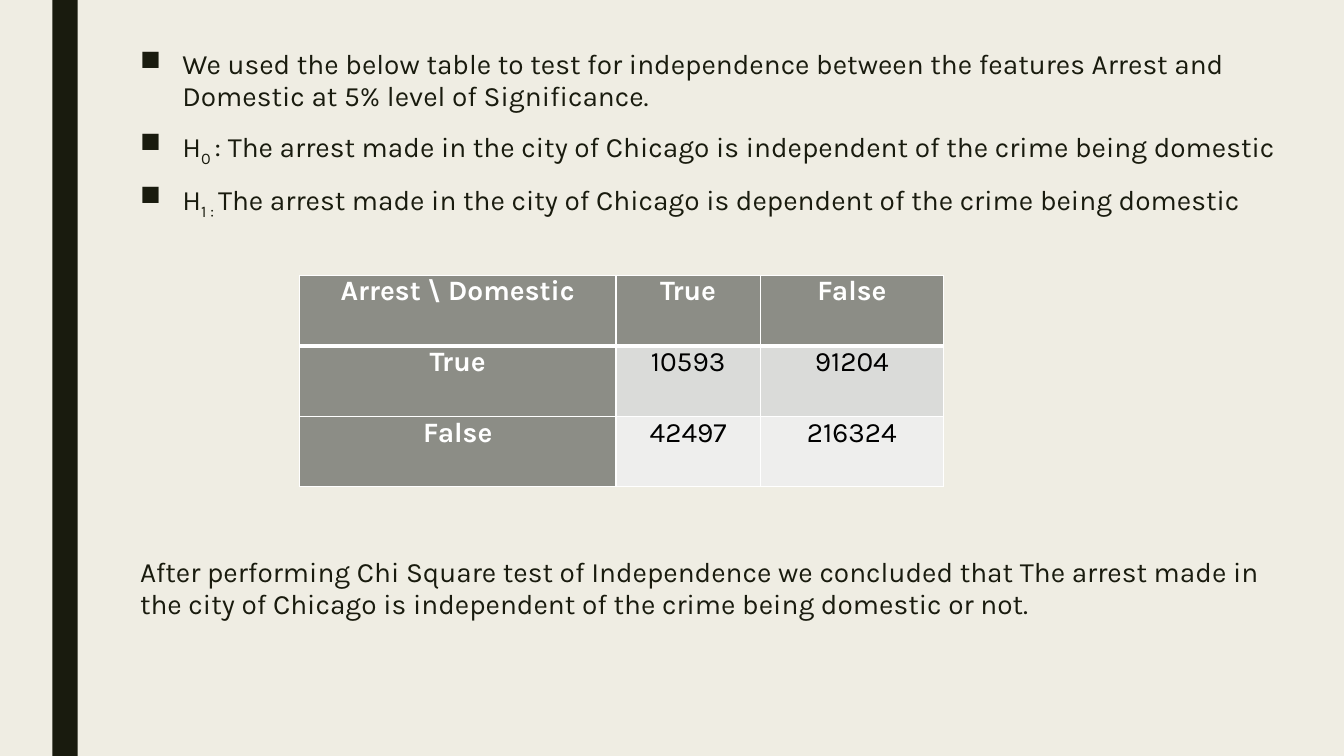
from lxml import etree
from pptx import Presentation
from pptx.dml.color import RGBColor
from pptx.enum.shapes import MSO_SHAPE
from pptx.enum.text import PP_ALIGN
from pptx.oxml.ns import qn
from pptx.util import Inches, Pt

RECT = MSO_SHAPE.RECTANGLE
CENTER = PP_ALIGN.CENTER
FONT = "Karla"
SIZE = Pt(20)
COLORS = {
    "paper": "EFEDE3",
    "ink": "191B0E",
    "head": "8C8D86",
    "odd": "DADBD9",
    "even": "EEEEED",
    "white": "FFFFFF",
    "black": "000000",
}

POINTS = [
    [("We used the below table to test for independence between the features "
      "Arrest and Domestic at 5% level of Significance.", False)],
    [("H", False), ("0 ", True),
     (": The arrest made in the city of Chicago is independent of the crime "
      "being domestic", False)],
    [("H", False), ("1 : ", True),
     ("The arrest made in the city of Chicago is dependent of the crime "
      "being domestic", False)],
]
RESULT = [
    [("After performing Chi Square test of Independence we concluded that "
      "The arrest made in the city of Chicago is independent of the crime "
      "being domestic or not.", False)],
]
COUNTS = [
    ["Arrest \\ Domestic", "True", "False"],
    ["True", "10593", "91204"],
    ["False", "42497", "216324"],
]
WIDTHS = [3.14, 1.43, 1.82]
ROW = 0.7


def paint(fill, color):
    fill.solid()
    fill.fore_color.rgb = RGBColor.from_string(COLORS[color])


def style(run, color, bold=False):
    font = run.font
    font.name = FONT
    font.size = SIZE
    font.bold = bold
    font.color.rgb = RGBColor.from_string(COLORS[color])


def add_bar(slide):
    bar = slide.shapes.add_shape(RECT, Inches(0.52), 0, Inches(0.25), Inches(7.5))
    bar.shadow.inherit = False
    paint(bar.fill, "ink")
    bar.line.fill.background()


def add_mark(para):
    props = para._p.get_or_add_pPr()
    indent = Inches(0.42)
    props.set("marL", str(indent))
    props.set("indent", str(-indent))
    etree.SubElement(props, qn("a:buChar")).set("char", "■")


def add_text(slide, top, height, items, marked):
    box = slide.shapes.add_textbox(
        Inches(1.29), Inches(top), Inches(11.49), Inches(height))
    frame = box.text_frame
    frame.word_wrap = True
    for i, parts in enumerate(items):
        para = frame.add_paragraph() if i else frame.paragraphs[0]
        para.line_spacing = 0.94
        para.space_before = Pt(10)
        para.space_after = Pt(2)
        if marked:
            add_mark(para)
        for text, sub in parts:
            run = para.add_run()
            run.text = text
            style(run, "ink")
            if sub:
                run._r.get_or_add_rPr().set("baseline", "-25000")


def add_edge(cell, side, width):
    props = cell._tc.get_or_add_tcPr()
    line = etree.SubElement(props, qn("a:ln" + side), w=str(Pt(width)))
    fill = etree.SubElement(line, qn("a:solidFill"))
    etree.SubElement(fill, qn("a:srgbClr"), val=COLORS["white"])


def fill_cell(cell, text, r, c):
    head = r == 0 or c == 0
    cell.margin_left = cell.margin_right = Inches(0.07)
    cell.margin_top = cell.margin_bottom = 0
    cell.text_frame.text = text
    para = cell.text_frame.paragraphs[0]
    para.alignment = CENTER
    style(para.runs[0], "white" if head else "black", head)
    for side in "LRTB":
        thick = (r, side) in ((0, "B"), (1, "T"))
        add_edge(cell, side, 3 if thick else 1)
    body = "odd" if r % 2 else "even"
    paint(cell.fill, "head" if head else body)


def add_counts(slide):
    rows = len(COUNTS)
    table = slide.shapes.add_table(
        rows, len(WIDTHS), Inches(2.97), Inches(2.73),
        Inches(sum(WIDTHS)), Inches(ROW * rows)).table
    for col, width in zip(table.columns, WIDTHS):
        col.width = Inches(width)
    for r, texts in enumerate(COUNTS):
        table.rows[r].height = Inches(ROW)
        for c, text in enumerate(texts):
            fill_cell(table.cell(r, c), text, r, c)


def main():
    deck = Presentation()
    deck.slide_width = Inches(13.33)
    deck.slide_height = Inches(7.5)
    slide = deck.slides.add_slide(deck.slide_layouts[6])
    paint(slide.background.fill, "paper")
    add_bar(slide)
    add_text(slide, 0.44, 2.2, POINTS, True)
    add_counts(slide)
    add_text(slide, 5.48, 0.9, RESULT, False)
    deck.save("out.pptx")


if __name__ == "__main__":
    main()
